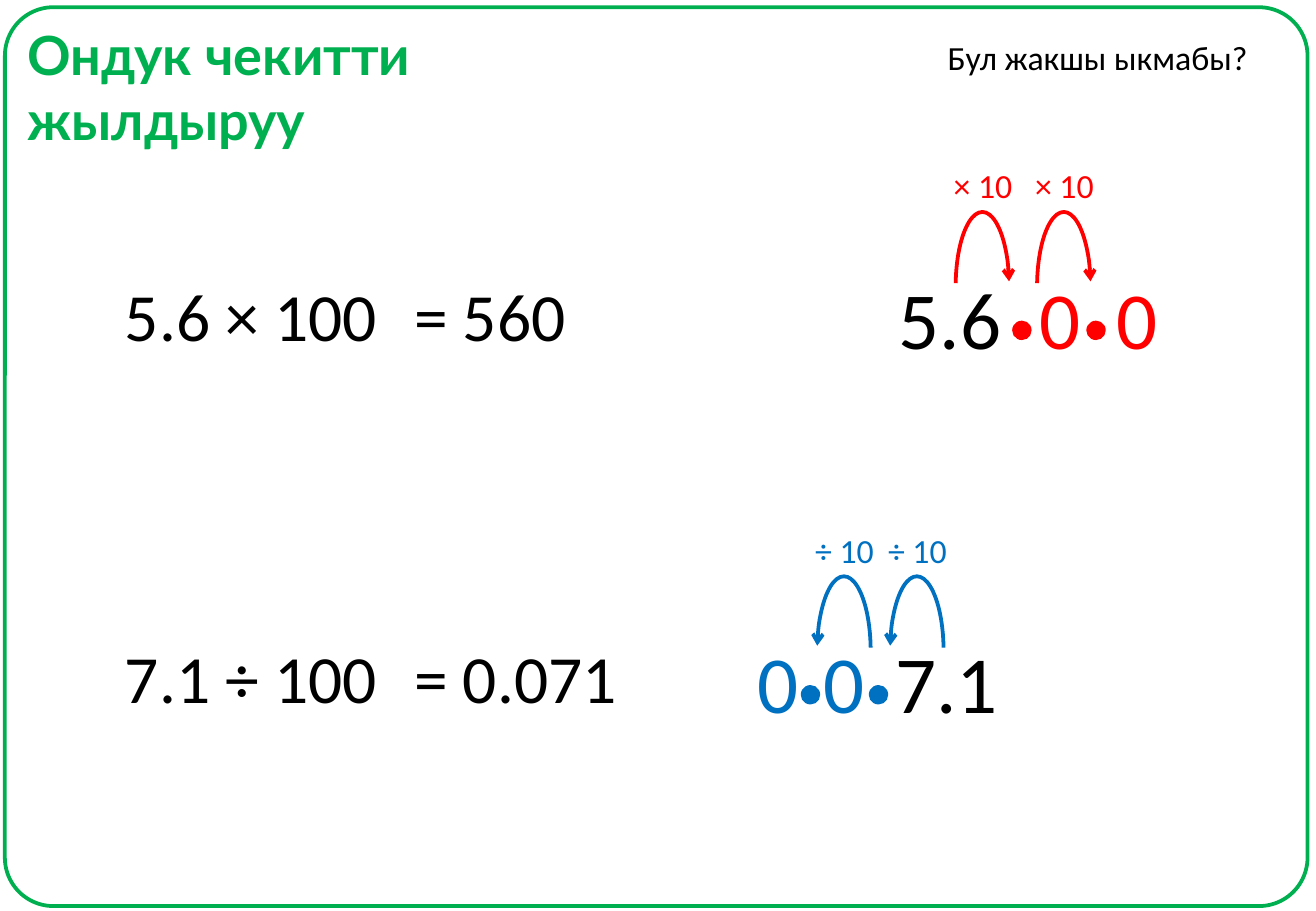
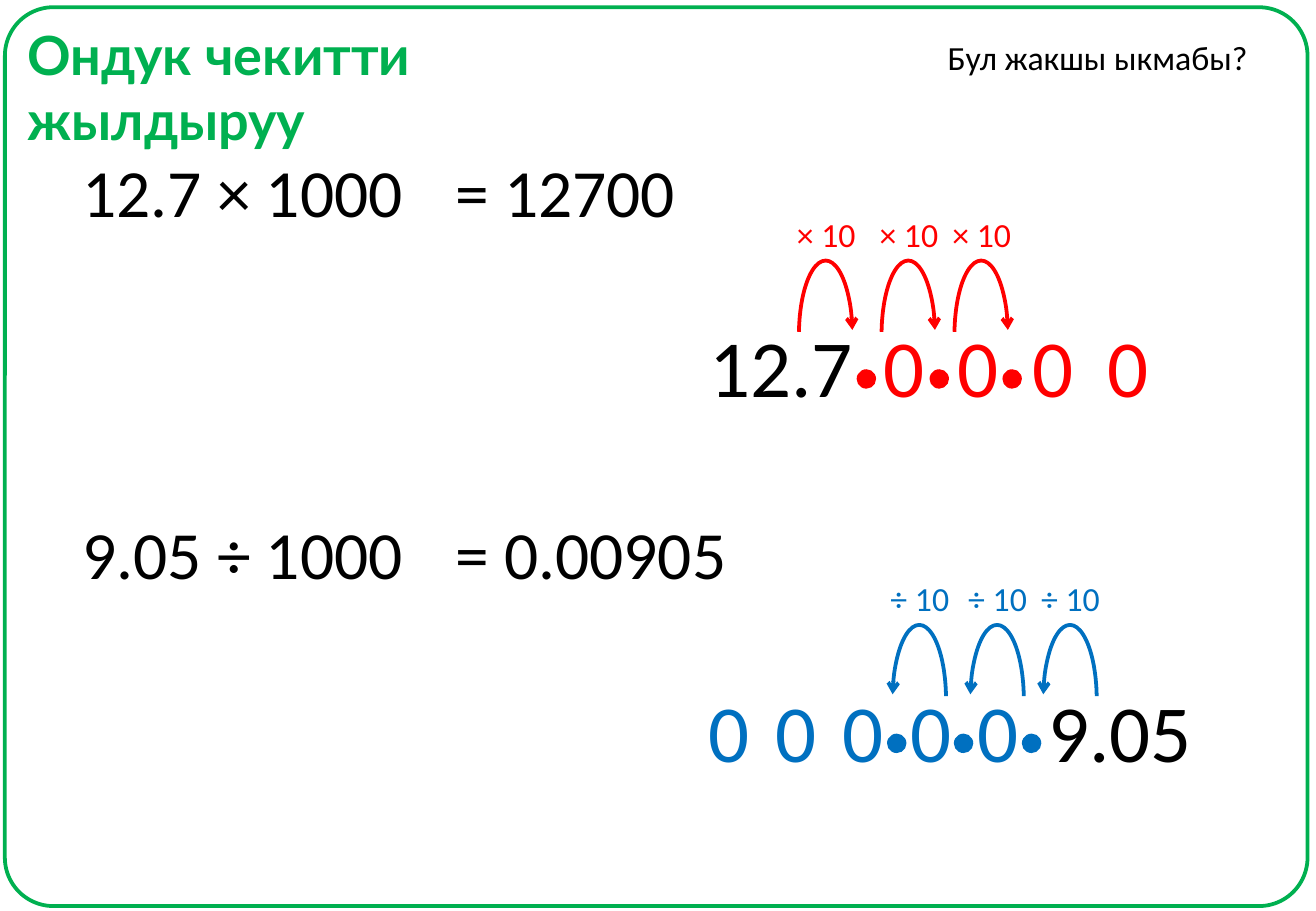
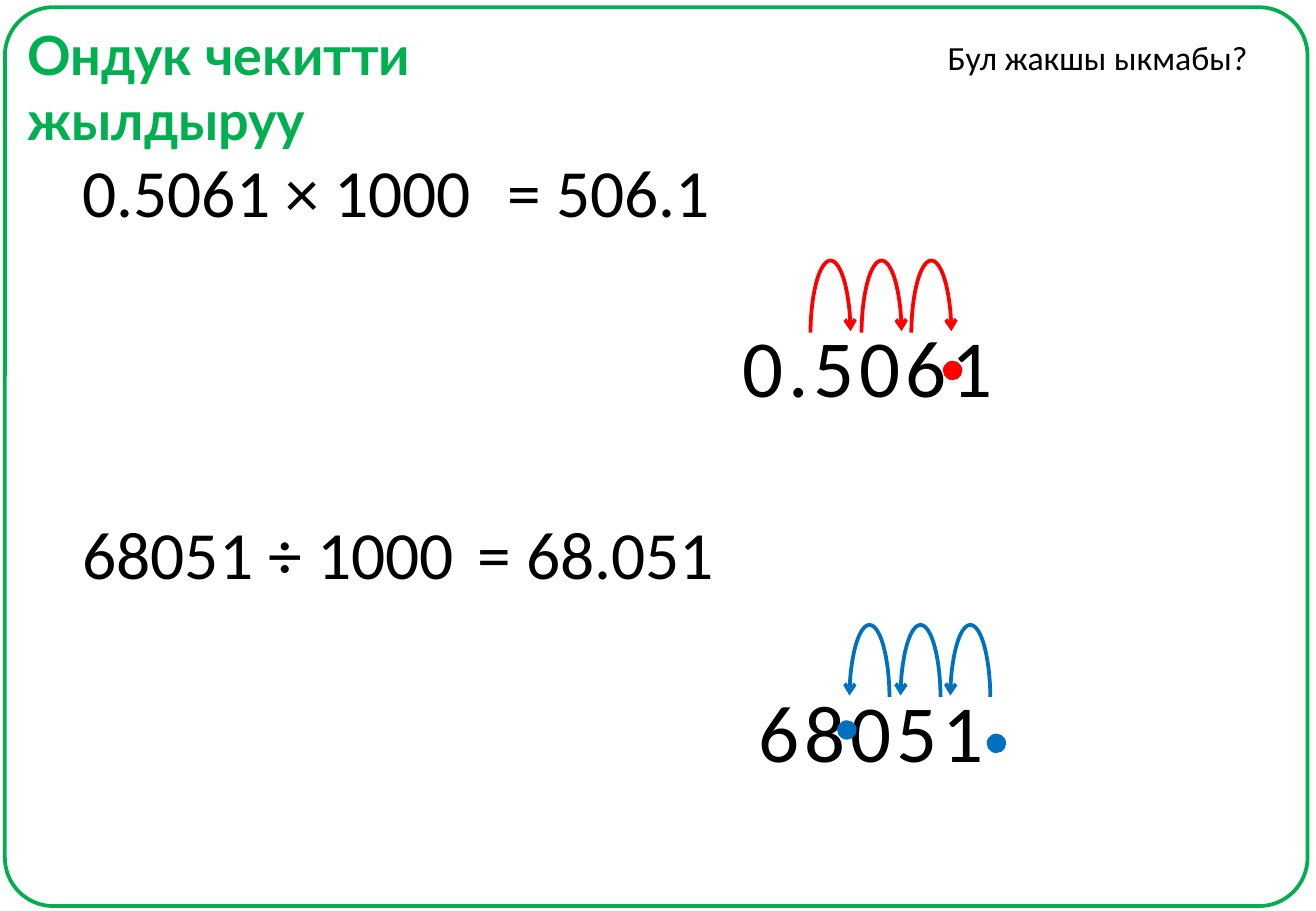
from dataclasses import dataclass

from lxml.etree import SubElement
from pptx import Presentation
from pptx.dml.color import RGBColor
from pptx.enum.shapes import MSO_SHAPE
from pptx.enum.text import MSO_AUTO_SIZE, PP_ALIGN
from pptx.oxml.ns import qn
from pptx.shapes.autoshape import Shape
from pptx.slide import Slide
from pptx.util import Emu, Pt

EMU_PER_PX = 9144
PAGE_WIDTH, PAGE_HEIGHT = 1083, 750
COLOURS = {"green": "00B050", "red": "FF0000", "blue": "0070C0", "black": "000000"}
LINE_WIDTH = Pt(2.25)

ARC_LENGTH, HOP_WIDTH, NARROW_HOP_WIDTH = 123, 44, 33
ARC_ANGLES = (60.745, 157.619)
LABEL_WIDTH, LABEL_HEIGHT = 69, 44
DIGIT_WIDTH, DIGIT_HEIGHT = 54, 91
SUM_HEIGHT = 77
DOT_SIZE, DOT_DROP = 16, 48

STYLES = {
    "title": {"name": "Lato", "size": Pt(32), "bold": True},
    "small": {"name": "Calibri", "size": Pt(20)},
    "sum": {"name": "Calibri", "size": Pt(40)},
    "digits": {"name": "Calibri", "size": Pt(48)},
}


@dataclass(frozen=True)
class Words:
    left: int
    width: int
    text: str


@dataclass(frozen=True)
class Dot:
    left: int
    drop: int = DOT_DROP


@dataclass(frozen=True)
class Working:
    """One sum, its answer, and the digits with the point hopping over them."""
    ink: str
    sum_top: int
    digits_top: int
    sum: Words
    answer: Words
    number: Words
    hops: tuple[int, ...]
    dots: tuple[Dot, ...]
    zeros: tuple[int, ...] = ()
    hop_label: str = ""
    hop_width: int = HOP_WIDTH
    letter_spacing: int = 0


PAGES = (
    (
        Working("red", 221, 216, Words(93, 230, "5.6 × 100"), Words(331, 146, "= 560"),
                Words(730, 106, "5.6"), (747, 814), (Dot(833), Dot(894)),
                (845, 909), "× 10"),
        Working("blue", 519, 516, Words(93, 230, "7.1 ÷ 100"), Words(331, 188, "= 0.071"),
                Words(727, 106, "7.1"), (633, 693), (Dot(659), Dot(715)),
                (613, 668), "÷ 10"),
    ),
    (
        Working("red", 119, 256, Words(58, 286, "12.7 × 1000"), Words(365, 203, "= 12700"),
                Words(574, 140, "12.7"), (618, 686, 746), (Dot(705), Dot(765), Dot(825)),
                (717, 778, 840, 901), "× 10"),
        Working("blue", 417, 556, Words(58, 286, "9.05 ÷ 1000"), Words(365, 245, "= 0.00905"),
                Words(853, 140, "9.05"), (695, 759, 819), (Dot(730), Dot(785), Dot(841)),
                (573, 628, 683, 739, 794), "÷ 10"),
    ),
    (
        Working("red", 119, 256, Words(58, 343, "0.5061 × 1000"), Words(408, 188, "= 506.1"),
                Words(601, 233, "0.5061"), (622, 664, 705), (Dot(776, 41),),
                hop_width=NARROW_HOP_WIDTH, letter_spacing=3),
        Working("blue", 417, 556, Words(58, 329, "68051 ÷ 1000"), Words(383, 217, "= 68.051"),
                Words(614, 212, "68051"), (654, 696, 737), (Dot(689, 37), Dot(812)),
                hop_width=NARROW_HOP_WIDTH, letter_spacing=3),
    ),
)


def px(*lengths: float) -> list[Emu]:
    return [Emu(round(length * EMU_PER_PX)) for length in lengths]


def colour(name: str) -> RGBColor:
    return RGBColor.from_string(COLOURS[name])


def add_words(shapes, words: Words, top: int, height: int, style: str,
              ink: str = "black", align: PP_ALIGN = PP_ALIGN.LEFT,
              wrap: bool = False, spacing: int = 0) -> None:
    box = shapes.add_textbox(*px(words.left, top, words.width, height))
    box.text_frame.word_wrap = wrap
    box.text_frame.auto_size = MSO_AUTO_SIZE.SHAPE_TO_FIT_TEXT
    para = box.text_frame.paragraphs[0]
    para.alignment = align
    span = para.add_run()
    span.text = words.text
    for attribute, value in STYLES[style].items():
        setattr(span.font, attribute, value)
    span.font.color.rgb = colour(ink)
    if spacing:
        span.font._element.set("spc", str(spacing * 100))


def add_outline(shapes, kind: MSO_SHAPE, bounds: list[Emu], ink: str,
                adjustments: tuple[float, ...]) -> Shape:
    shape = shapes.add_shape(kind, *bounds)
    shape.shadow.inherit = False
    shape.fill.background()
    shape.line.color.rgb = colour(ink)
    shape.line.width = LINE_WIDTH
    for index, value in enumerate(adjustments):
        shape.adjustments[index] = value
    return shape


def add_dot(page: Slide, dot: Dot, digits_top: int, ink: str) -> None:
    shape = page.shapes.add_shape(
        MSO_SHAPE.OVAL, *px(dot.left, digits_top + dot.drop, DOT_SIZE, DOT_SIZE))
    shape.shadow.inherit = False
    shape.fill.solid()
    shape.fill.fore_color.rgb = colour(ink)
    shape.line.fill.background()


def add_hop(page: Slide, left: int, working: Working) -> None:
    """Draw a curved arrow above the digits, grouped with its label if it has one."""
    shapes = page.shapes.add_group_shape().shapes if working.hop_label else page.shapes
    top = working.digits_top + 20 - working.hop_width / 2
    arc = add_outline(shapes, MSO_SHAPE.ARC, px(left, top, ARC_LENGTH, working.hop_width),
                      working.ink, ARC_ANGLES)
    arc.rotation = 90
    if working.ink == "red":
        arc._element.spPr.find(qn("a:xfrm")).set("flipV", "1")
    SubElement(arc.line._get_or_add_ln(), qn("a:headEnd"), type="arrow")
    if working.hop_label:
        label = Words(left + (ARC_LENGTH - LABEL_WIDTH) // 2, LABEL_WIDTH, working.hop_label)
        add_words(shapes, label, working.digits_top - 85, LABEL_HEIGHT, "small",
                  working.ink, PP_ALIGN.RIGHT)


def add_working(page: Slide, working: Working) -> None:
    for words in (working.sum, working.answer):
        add_words(page.shapes, words, working.sum_top, SUM_HEIGHT, "sum")
    add_words(page.shapes, working.number, working.digits_top, DIGIT_HEIGHT, "digits",
              spacing=working.letter_spacing)
    for left in working.zeros:
        add_words(page.shapes, Words(left, DIGIT_WIDTH, "0"), working.digits_top,
                  DIGIT_HEIGHT, "digits", working.ink, PP_ALIGN.CENTER)
    for left in working.hops:
        add_hop(page, left, working)
    for dot in working.dots:
        add_dot(page, dot, working.digits_top, working.ink)


def add_page_frame(page: Slide) -> None:
    add_outline(page.shapes, MSO_SHAPE.ROUNDED_RECTANGLE, px(4, 6, 1072, 740),
                "green", (0.054,))
    add_words(page.shapes, Words(13, 531, "Ондук чекитти жылдыруу"), 13, 64, "title",
              "green", wrap=True)
    add_words(page.shapes, Words(770, 279, "Бул жакшы ыкмабы?"), 25, 44, "small")


def main() -> None:
    deck = Presentation()
    deck.slide_width, deck.slide_height = px(PAGE_WIDTH, PAGE_HEIGHT)
    blank = deck.slide_layouts[6]
    for workings in PAGES:
        page = deck.slides.add_slide(blank)
        add_page_frame(page)
        for working in workings:
            add_working(page, working)
    deck.save("out.pptx")


if __name__ == "__main__":
    main()
